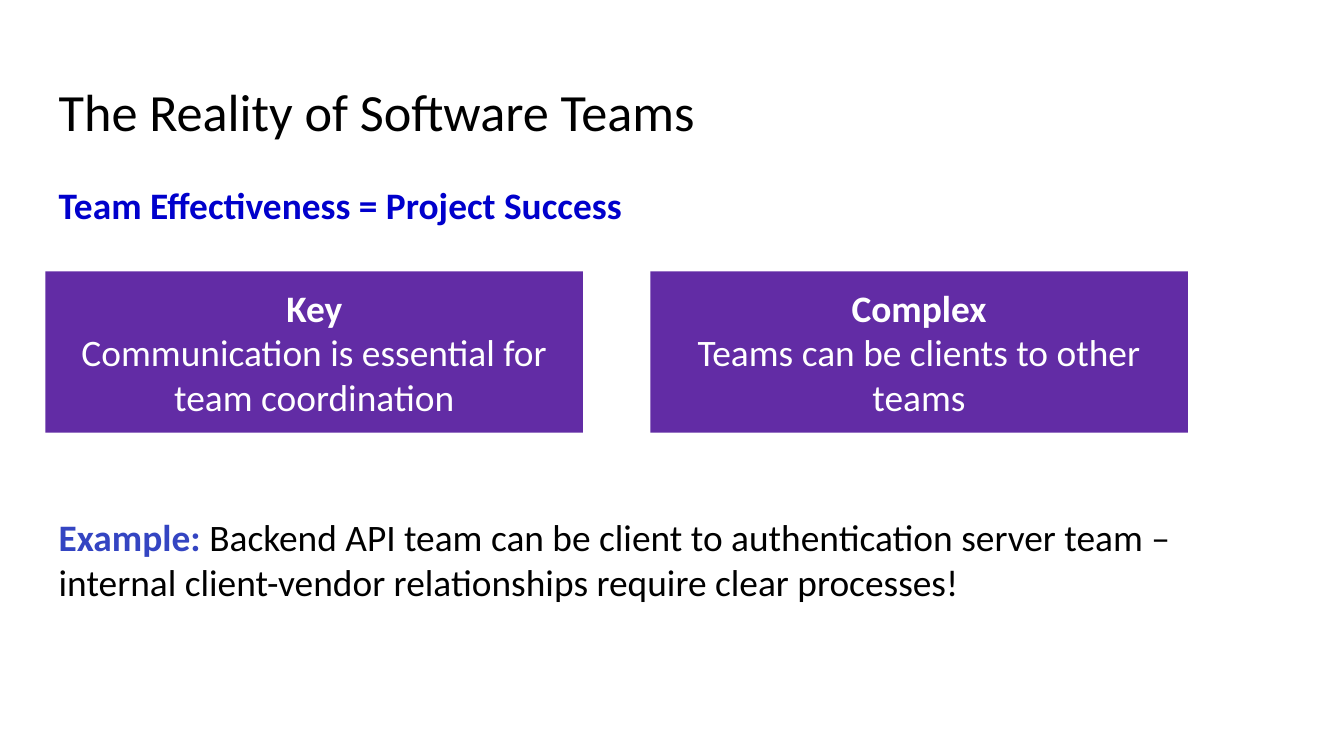
"""Build the slide on the reality of software teams."""
from dataclasses import dataclass

from pptx import Presentation, util as u
from pptx.dml.color import RGBColor
from pptx.enum import shapes, text
from pptx.oxml import parse_xml
from pptx.oxml.ns import nsdecls

BLACK = RGBColor(0x00, 0x00, 0x00)
WHITE = RGBColor(0xFF, 0xFF, 0xFF)
PURPLE = RGBColor(0x62, 0x2C, 0xA5)
BLUE = RGBColor(0x00, 0x00, 0xCC)
INDIGO = RGBColor(0x34, 0x45, 0xC2)

LEFT, WIDE = 0.86, 23.67
TOP, STEP = 5.13, 11.43
BOX_W, BOX_H = 10.16, 3.05


@dataclass
class Run:
    """Words with their look."""
    words: str
    color: RGBColor
    bold: bool = False
    size: int = 20


@dataclass
class Card:
    """A heading with a claim below it."""
    head: str
    claim: str


CARDS = [
    Card("Key", "Communication is essential for team coordination"),
    Card("Complex", "Teams can be clients to other teams"),
]


def place(shape, left: float, top: float, width: float, height: float) -> None:
    """Move and size a shape in centimetres."""
    shape.left, shape.top = u.Cm(left), u.Cm(top)
    shape.width, shape.height = u.Cm(width), u.Cm(height)


def write(shape, lines: list[list[Run]], align=text.PP_ALIGN.LEFT,
          anchor=text.MSO_ANCHOR.MIDDLE, pad: float = 0.13) -> None:
    """Fill a shape with paragraphs of runs."""
    frame = shape.text_frame
    frame.word_wrap = True
    frame.vertical_anchor = anchor
    frame.margin_left = frame.margin_right = u.Cm(0.25)
    frame.margin_top = frame.margin_bottom = u.Cm(pad)
    for i, line in enumerate(lines):
        para = frame.add_paragraph() if i else frame.paragraphs[0]
        para.alignment = align
        para.space_before = u.Pt(0)
        for item in line:
            run = para.add_run()
            run.text = item.words
            font = run.font
            font.name, font.size = "Calibri", u.Pt(item.size)
            font.bold, font.color.rgb = item.bold, item.color


def fill(holder, top: float, height: float, run: Run) -> None:
    """Place a template placeholder and write one line in it."""
    place(holder, LEFT, top, WIDE, height)
    write(holder, [[run]], anchor=text.MSO_ANCHOR.TOP, pad=0.25)
    holder.text_frame.auto_size = text.MSO_AUTO_SIZE.SHAPE_TO_FIT_TEXT


def plain(holder) -> None:
    """Drop the bullet and its indent."""
    for para in holder.text_frame.paragraphs:
        props = para._p.get_or_add_pPr()
        props.set("marL", "0")
        props.set("indent", "0")
        props.append(parse_xml(f"<a:buNone {nsdecls('a')}/>"))


def draw(slide, card: Card, left: float) -> None:
    """Draw one purple card."""
    box = slide.shapes.add_shape(
        shapes.MSO_SHAPE.RECTANGLE,
        u.Cm(left), u.Cm(TOP), u.Cm(BOX_W), u.Cm(BOX_H))
    box.shadow.inherit = False
    box.fill.solid()
    box.fill.fore_color.rgb = PURPLE
    box.line.fill.background()
    write(box, [[Run(card.head, WHITE, True)], [Run(card.claim, WHITE)]],
          align=text.PP_ALIGN.CENTER)


def main() -> None:
    """Make and save the deck."""
    deck = Presentation()
    deck.slide_width, deck.slide_height = u.Cm(25.4), u.Cm(14.29)
    slide = deck.slides.add_slide(deck.slide_layouts[1])

    fill(slide.shapes.title, 1.24, 1.7,
         Run("The Reality of Software Teams", BLACK, size=28))
    body = slide.placeholders[1]
    fill(body, 3.2, 1.37,
         Run("Team Effectiveness = Project Success", BLUE, True))
    plain(body)

    for i, card in enumerate(CARDS):
        draw(slide, card, LEFT + i * STEP)

    note = slide.shapes.add_textbox(
        u.Cm(LEFT), u.Cm(9.04), u.Cm(STEP + BOX_W), u.Cm(BOX_H))
    write(note, [[
        Run("Example: ", INDIGO, True),
        Run("Backend API team can be client to authentication server team – "
            "internal client-vendor relationships require clear processes!",
            BLACK),
    ]])
    deck.save("out.pptx")


if __name__ == "__main__":
    main()
